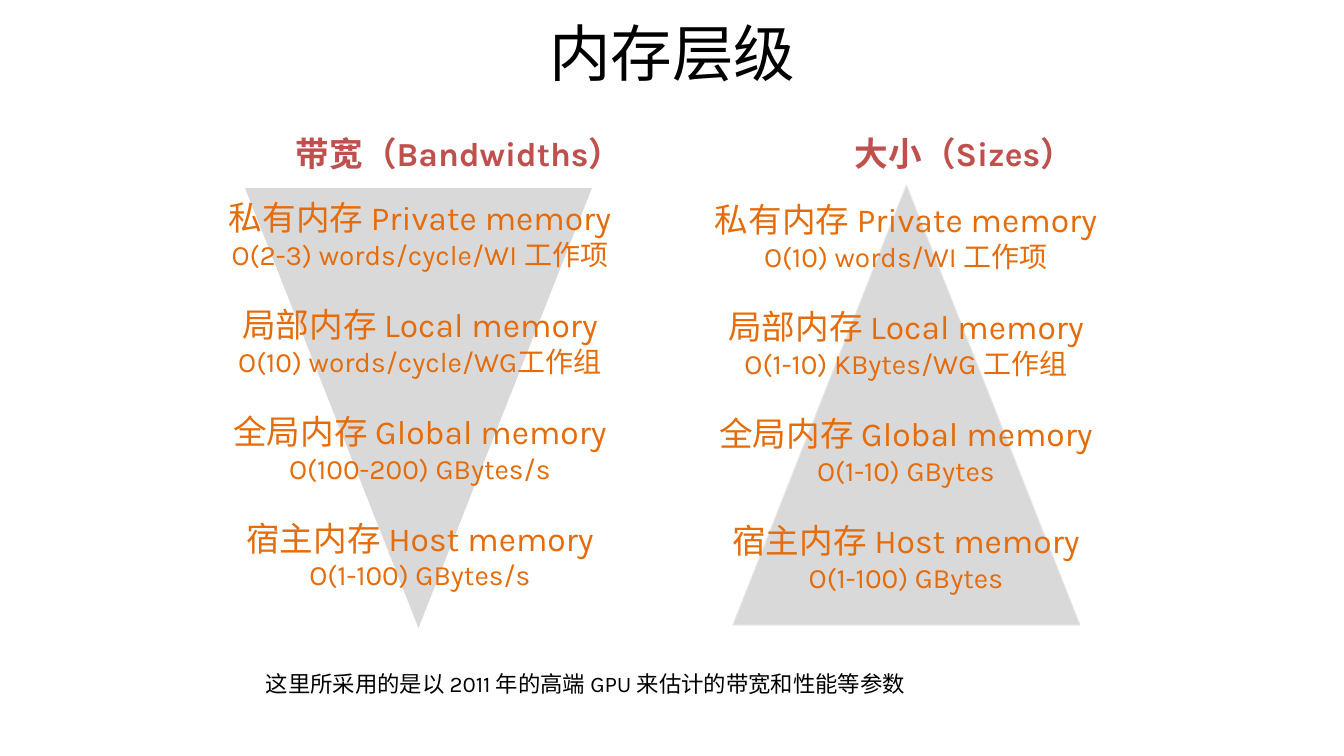
from pptx import Presentation
from pptx.dml.color import RGBColor
from pptx.enum.shapes import MSO_SHAPE as SHAPE
from pptx.enum.text import MSO_ANCHOR as ANCHOR, PP_ALIGN as ALIGN
from pptx.util import Emu, Pt

SCALE = 914400 / 100.8
BLACK, ORANGE, RED, GREY, EDGE = "000000", "E46C0A", "C0504D", "D9D9D9", "E7E6E6"
MEMORIES = ["私有内存 Private memory", "局部内存 Local memory",
            "全局内存 Global memory", "宿主内存 Host memory"]
BANDWIDTHS = ["O(2-3) words/cycle/WI 工作项", "O(10) words/cycle/WG工作组",
              "O(100-200) GBytes/s", "O(1-100) GBytes/s"]
SIZES = ["O(10) words/WI 工作项", "O(1-10) KBytes/WG 工作组",
         "O(1-10) GBytes", "O(1-100) GBytes"]


def px(n):
    return Emu(round(n * SCALE))


def color(value):
    return RGBColor.from_string(value)


def set_all(target, formats):
    for name, value in formats.items():
        setattr(target, name, value)


def add_text(s, box, lines, fill, anchor=ANCHOR.TOP, bold=False, **para):
    tf = s.shapes.add_textbox(*map(px, box)).text_frame
    set_all(tf, {"word_wrap": True, "vertical_anchor": anchor})
    for i, (text, size, before) in enumerate(lines):
        p = tf.add_paragraph() if i else tf.paragraphs[0]
        set_all(p, {"space_before": Pt(before), **para})
        r = p.add_run()
        r.text = text
        set_all(r.font, {"name": "Karla", "size": Pt(size), "bold": bold})
        r.font.color.rgb = color(fill)


def add_triangle(s, box, rotation, edge):
    sp = s.shapes.add_shape(SHAPE.ISOSCELES_TRIANGLE, *map(px, box))
    sp.rotation = rotation
    sp.shadow.inherit = False
    sp.fill.solid()
    sp.fill.fore_color.rgb = color(GREY)
    if edge:
        sp.line.color.rgb = color(edge)
        sp.line.width = Pt(0.75)
    else:
        sp.line.fill.background()


def add_title(s, box):
    add_text(s, box, [("内存层级", 44, 0)], BLACK, anchor=ANCHOR.MIDDLE,
             alignment=ALIGN.CENTER)


def add_column(s, box, heading, indent, values, body, rotation=0, edge=None):
    x, y, w, h = box
    dx, dy, body_w = body
    add_triangle(s, box, rotation, edge)
    lines = []
    for i, (memory, value) in enumerate(zip(MEMORIES, values)):
        lines += [(memory, 24, 24 if i else 0), (value, 20, 0)]
    add_text(s, (x + dx, y + dy, body_w, h - 17), lines, ORANGE,
             alignment=ALIGN.CENTER, line_spacing=0.99)
    add_text(s, (x + indent, 130, w + 20, 49), [(heading, 24, 0)], RED, bold=True,
             line_spacing=0.99)


def add_note(s, box):
    text = "这里所采用的是以 2011 年的高端 GPU 来估计的带宽和性能等参数"
    add_text(s, box, [(text, 16, 0)], BLACK, line_spacing=0.99)


def main():
    prs = Presentation()
    set_all(prs, {"slide_width": px(1344), "slide_height": px(756)})
    s = prs.slides.add_slide(prs.slide_layouts[6])
    add_title(s, (219, -11, 907, 126))
    add_column(s, (733, 185, 347, 440), "大小（Sizes）", 112, SIZES,
               (-47, 11, 440), edge=EDGE)
    add_column(s, (245, 188, 347, 440), "带宽（Bandwidths）", 41, BANDWIDTHS,
               (-45, 6, 440), rotation=180)
    add_note(s, (256, 666, 756, 36))
    prs.save("out.pptx")


if __name__ == "__main__":
    main()
